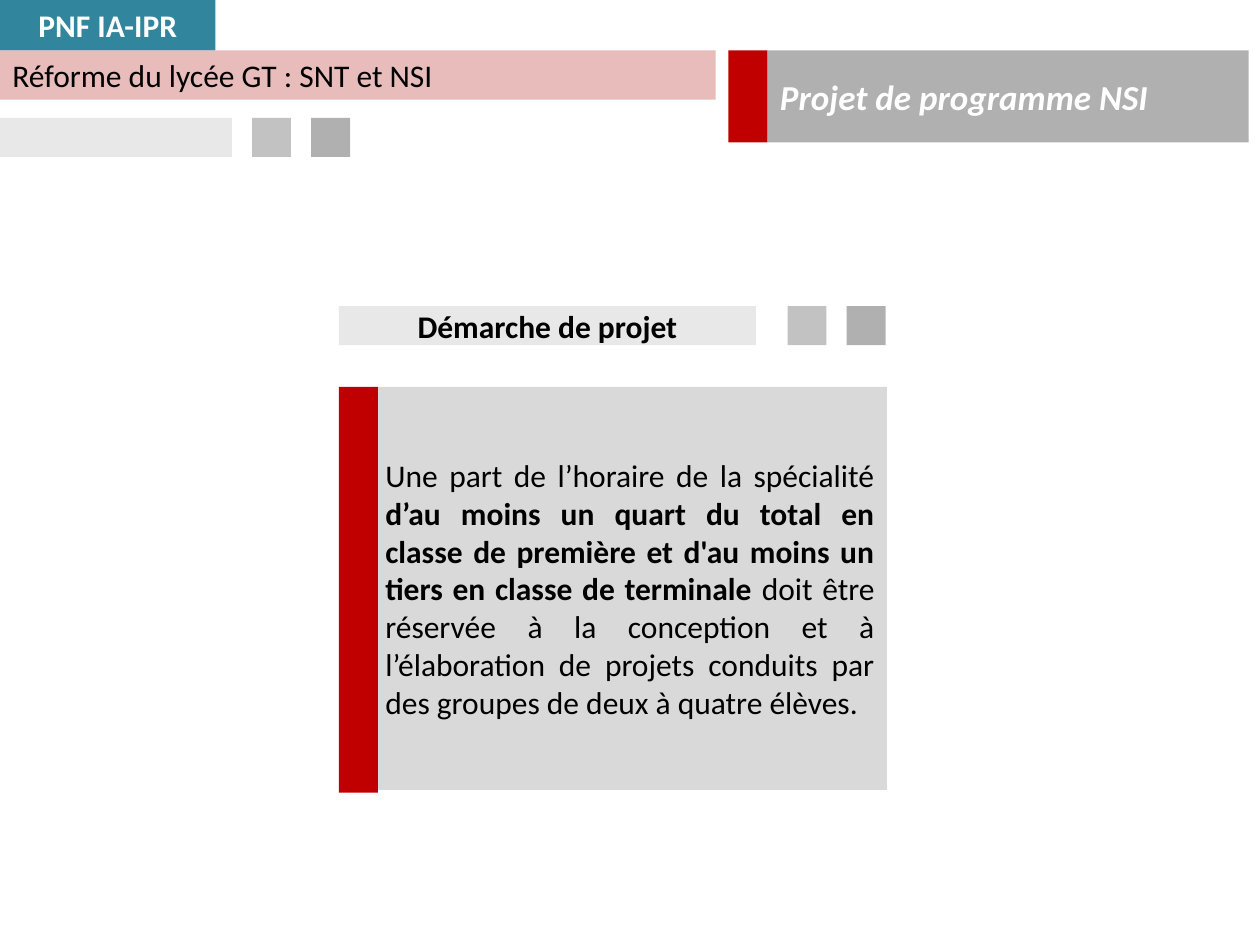
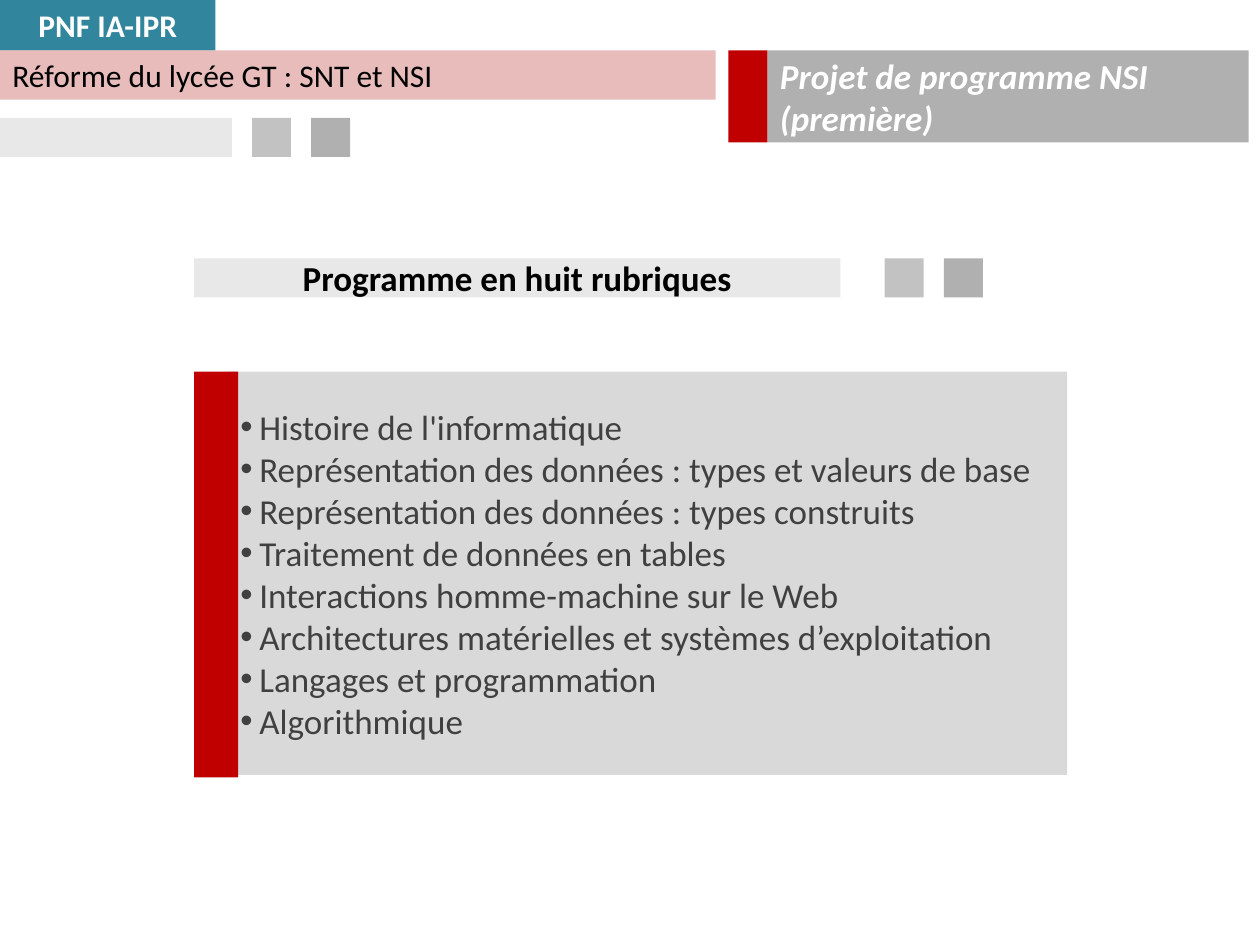
import pptx
import pptx.util
import pptx.dml.color
import pptx.enum.shapes
import pptx.enum.text
import pptx.oxml
import pptx.oxml.ns

Inches = pptx.util.Inches
ALIGN = pptx.enum.text.PP_ALIGN

FONT = "Calibri"
BLACK, WHITE = "000000", "FFFFFF"
TEAL, ROSE, RED = "31859C", "D99694", "C00000"
PANEL, DARK_GREY = "D9D9D9", "404040"
LIGHT, MEDIUM, STRONG = 9, 24, 31
SQUARE, SQUARE_STEP = 0.31, 0.47


def rgb(value):
    """Return the colour for a hex string."""
    return pptx.dml.color.RGBColor.from_string(value)


def paint(sp, color, opacity=100):
    """Fill a shape with a colour, without line or shadow."""
    sp.shadow.inherit = False
    sp.line.fill.background()
    sp.fill.solid()
    sp.fill.fore_color.rgb = rgb(color)
    if opacity < 100:
        clr = sp.fill._xPr.find(".//" + pptx.oxml.ns.qn("a:srgbClr"))
        alpha = pptx.oxml.parse_xml(
            f'<a:alpha {pptx.oxml.ns.nsdecls("a")} val="{opacity * 1000}"/>')
        clr.append(alpha)


def add_box(s, left, top, width, height, color, opacity=100):
    """Add a plain rectangle."""
    sp = s.shapes.add_shape(pptx.enum.shapes.MSO_SHAPE.RECTANGLE,
                            Inches(left), Inches(top), Inches(width), Inches(height))
    paint(sp, color, opacity)
    return sp


def add_bullet(p, indent=0.15):
    """Give a paragraph a round bullet and a hanging indent."""
    pPr = p._p.get_or_add_pPr()
    pPr.set("marL", str(Inches(indent)))
    pPr.set("indent", str(-Inches(indent)))
    pPr.append(pptx.oxml.parse_xml(
        f'<a:buFont {pptx.oxml.ns.nsdecls("a")} typeface="Arial"/>'))
    pPr.append(pptx.oxml.parse_xml(
        f'<a:buChar {pptx.oxml.ns.nsdecls("a")} char="•"/>'))


def write(sp, paragraphs, size=18, color=BLACK, bold=False, italic=False,
          align=ALIGN.LEFT, bullets=False):
    """Write paragraphs, each a string or a list of (text, bold) runs."""
    tf = sp.text_frame
    tf.word_wrap = True
    tf.auto_size = pptx.enum.text.MSO_AUTO_SIZE.NONE
    tf.vertical_anchor = pptx.enum.text.MSO_ANCHOR.MIDDLE
    for i, runs in enumerate(paragraphs):
        p = tf.add_paragraph() if i else tf.paragraphs[0]
        p.alignment = align
        if bullets:
            add_bullet(p)
        for text, strong in [(runs, bold)] if isinstance(runs, str) else runs:
            r = p.add_run()
            r.text = text
            r.font.name = FONT
            r.font.size = pptx.util.Pt(size)
            r.font.bold = strong
            r.font.italic = italic
            r.font.color.rgb = rgb(color)


def add_squares(s, left, top):
    """Add the pair of grey squares that closes a strip."""
    for i, opacity in enumerate((MEDIUM, STRONG)):
        add_box(s, left + i * SQUARE_STEP, top, SQUARE, SQUARE, BLACK, opacity)


def add_title(s, lines):
    """Turn the title placeholder into the grey band at the top right."""
    sp = s.shapes.title
    sp.left, sp.top, sp.width, sp.height = map(Inches, (6.09, 0.4, 3.82, 0.73))
    paint(sp, BLACK, STRONG)
    write(sp, lines, size=20, color=WHITE, bold=True, italic=True)


def add_base_slide(prs, title_lines):
    """Add a slide with its title and the shared header."""
    s = prs.slides.add_slide(prs.slide_layouts[5])
    add_title(s, title_lines)
    write(add_box(s, 0, 0, 1.71, 0.4, TEAL), ["PNF IA-IPR"],
          color=WHITE, bold=True, align=ALIGN.CENTER)
    write(add_box(s, 0, 0.4, 5.68, 0.39, ROSE, 63),
          ["Réforme du lycée GT : SNT et NSI"])
    add_box(s, 5.78, 0.4, 0.31, 0.73, RED)
    add_box(s, 0, 0.935, 1.84, SQUARE, BLACK, LIGHT)
    add_squares(s, 2, 0.935)
    return s


def add_heading(s, text, left, top, width, squares_left, size):
    """Add a section heading on a pale strip with its squares."""
    sp = add_box(s, left, top, width, SQUARE, BLACK, LIGHT)
    write(sp, [text], size=size, bold=True, align=ALIGN.CENTER)
    add_squares(s, squares_left, top)


def add_panel(s, paragraphs, left, top, width, bar_width, **style):
    """Add a grey text panel with a red bar on its left edge."""
    write(add_box(s, left + 0.27, top, width, 3.2, PANEL), paragraphs, **style)
    add_box(s, left, top, bar_width, 3.22, RED)


def main():
    """Build both slides and save them."""
    prs = pptx.Presentation()
    prs.slide_width, prs.slide_height = Inches(10), Inches(7.5)

    s = add_base_slide(prs, ["Projet de programme NSI"])
    add_heading(s, "Démarche de projet", 2.69, 2.43, 3.31, 6.25, size=18)
    project_share = [
        ("Une part de l’horaire de la spécialité ", False),
        ("d’au moins un quart du total en classe de première et d'au moins "
         "un tiers en classe de terminale ", True),
        ("doit être réservée à la conception et à l’élaboration de projets "
         "conduits par des groupes de deux à quatre élèves.", False),
    ]
    add_panel(s, [project_share], 2.69, 3.07, 4.08, 0.31, align=ALIGN.JUSTIFY)

    s = add_base_slide(prs, ["Projet de programme NSI", "(première)"])
    add_heading(s, "Programme en huit rubriques", 1.54, 2.05, 5.13, 7.02, size=20)
    topics = [
        "Histoire de l'informatique",
        "Représentation des données : types et valeurs de base",
        "Représentation des données : types construits",
        "Traitement de données en tables",
        "Interactions homme-machine sur le Web",
        "Architectures matérielles et systèmes d’exploitation",
        "Langages et programmation",
        "Algorithmique",
    ]
    add_panel(s, topics, 1.54, 2.95, 6.66, 0.35,
              size=20, color=DARK_GREY, bullets=True)

    prs.save("out.pptx")


if __name__ == "__main__":
    main()
